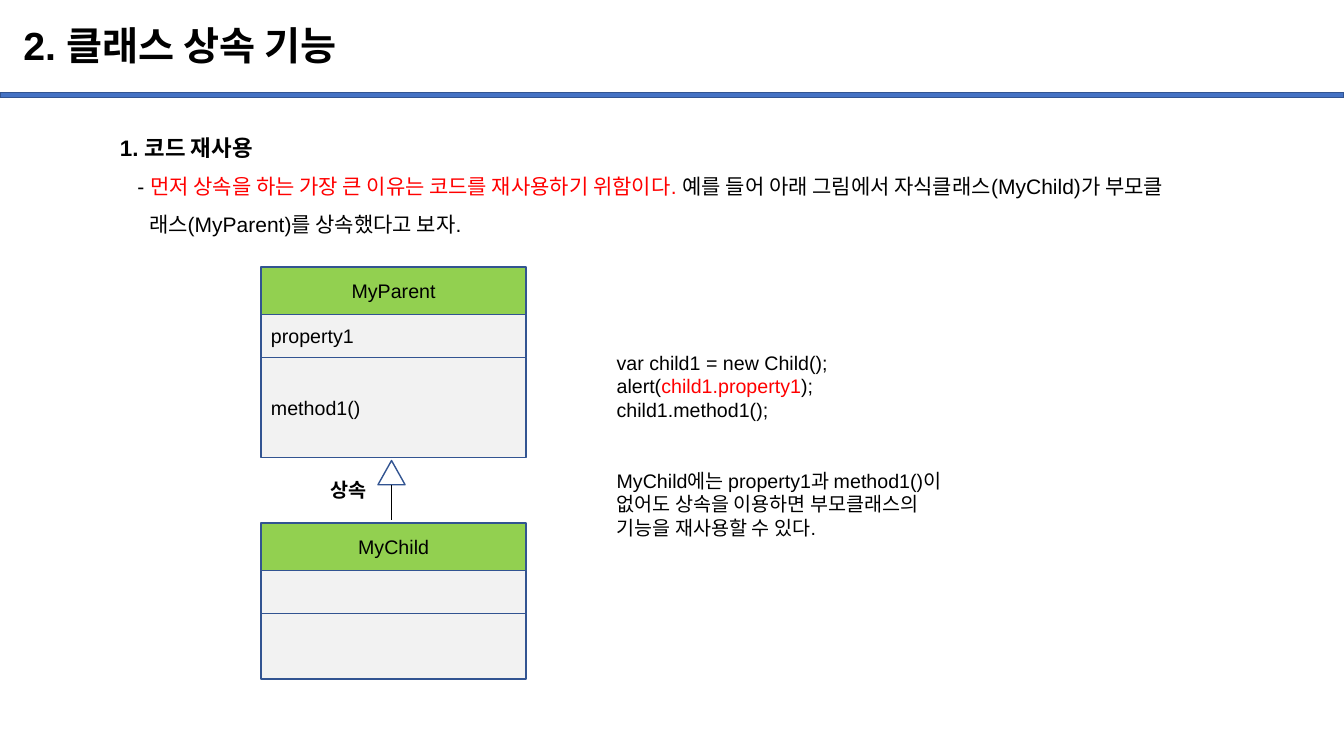
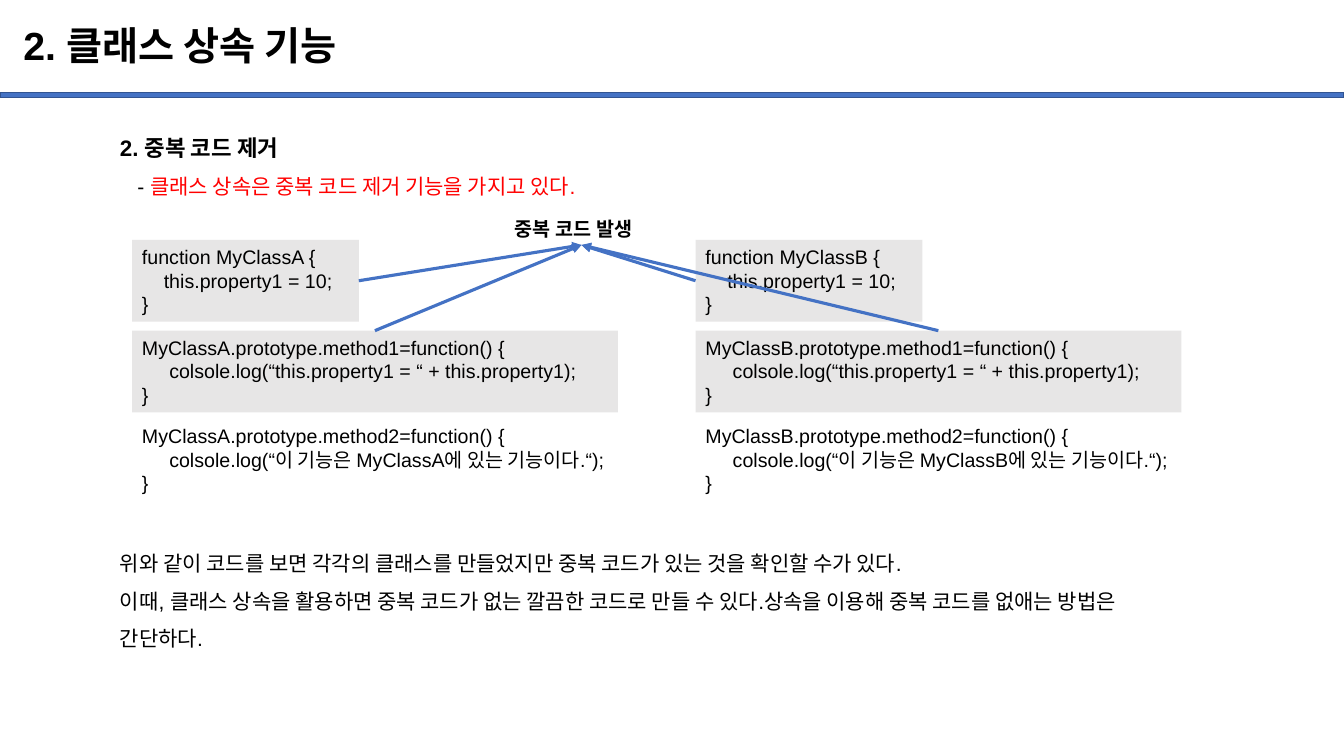
from pptx import Presentation
from pptx.dml.color import RGBColor
from pptx.enum.shapes import MSO_CONNECTOR, MSO_SHAPE
from pptx.enum.text import MSO_ANCHOR, MSO_AUTO_SIZE, PP_ALIGN
from pptx.oxml.ns import qn
from pptx.oxml.xmlchemy import OxmlElement
from pptx.util import Pt

BLACK = RGBColor(0x00, 0x00, 0x00)
RED = RGBColor(0xFF, 0x00, 0x00)
BLUE = RGBColor(0x44, 0x72, 0xC4)
NAVY = RGBColor(0x32, 0x54, 0x91)
GREEN = RGBColor(0x92, 0xD0, 0x50)
PALE = RGBColor(0xF2, 0xF2, 0xF2)
GRAY = RGBColor(0xE7, 0xE6, 0xE6)
FONT = "Arial"


def write(frame, text, size=14, bold=False, color=BLACK, align=PP_ALIGN.LEFT,
          indent=0, first=0, spacing=1.0, before=0):
    """Add one paragraph; text is a string or a list of (text, color) spans."""
    para = frame.paragraphs[0]
    if para.runs:
        para = frame.add_paragraph()
    para.alignment = align
    para.line_spacing = spacing
    para.space_before = Pt(before)
    properties = para._p.get_or_add_pPr()
    properties.set("marL", str(Pt(indent)))
    properties.set("indent", str(Pt(first)))
    properties.append(OxmlElement("a:buNone"))
    spans = [(text, color)] if isinstance(text, str) else text
    for words, shade in spans:
        span = para.add_run()
        span.text = words
        span.font.name = FONT
        span.font.size = Pt(size)
        span.font.bold = bold
        span.font.color.rgb = shade


class Lecture:
    def __init__(self):
        self.deck = Presentation()
        self.deck.slide_width, self.deck.slide_height = Pt(960), Pt(540)
        self.layout = self.deck.slide_layouts[1]
        self.page = None

    def place(self, shape, left, top, width, height):
        shape.left, shape.top = Pt(left), Pt(top)
        shape.width, shape.height = Pt(width), Pt(height)

    def add_page(self, title):
        self.page = self.deck.slides.add_slide(self.layout)
        if len(self.deck.slides) == 1:
            self.share_frame()
        frame = self.page.shapes.title.text_frame
        frame.vertical_anchor = MSO_ANCHOR.MIDDLE
        frame.auto_size = MSO_AUTO_SIZE.NONE
        write(frame, title, size=28, bold=True, spacing=0.9)

    def share_frame(self):
        """Put the title position and the blue band on the layout."""
        self.place(self.layout.placeholders[0], 9.4, 7.2, 828, 53.3)
        band = self.shape(MSO_SHAPE.RECTANGLE, 0, 66.2, 960, 3.6, fill=BLUE)
        self.layout.shapes.element.append(band.element)

    def body(self, height, heading):
        holder = self.page.placeholders[1]
        self.place(holder, 78.5, 82.8, 843.8, height)
        frame = holder.text_frame
        frame.vertical_anchor = MSO_ANCHOR.TOP
        frame.auto_size = MSO_AUTO_SIZE.NONE
        write(frame, heading, size=16, bold=True, spacing=1.5)
        return frame

    def shape(self, kind, left, top, width, height, fill=None):
        shape = self.page.shapes.add_shape(
            kind, Pt(left), Pt(top), Pt(width), Pt(height))
        shape.shadow.inherit = False
        if fill is None:
            shape.fill.background()
        else:
            shape.fill.solid()
            shape.fill.fore_color.rgb = fill
        shape.line.color.rgb = NAVY
        shape.line.width = Pt(1)
        return shape

    def class_box(self, top, rows):
        """Stack the name, property and method cells of a class."""
        for index, (text, height) in enumerate(rows):
            cell = self.shape(MSO_SHAPE.RECTANGLE, 186.5, top, 189.4, height,
                              fill=PALE if index else GREEN)
            cell.text_frame.vertical_anchor = MSO_ANCHOR.MIDDLE
            if text:
                write(cell.text_frame, text,
                      align=PP_ALIGN.LEFT if index else PP_ALIGN.CENTER)
            top += height

    def text_box(self, left, top, width, height, lines, fill=None,
                 bold=False, inner=0):
        """Add unwrapped lines; inner indents those between first and last."""
        box = self.page.shapes.add_textbox(
            Pt(left), Pt(top), Pt(width), Pt(height))
        if fill is not None:
            box.fill.solid()
            box.fill.fore_color.rgb = fill
        box.text_frame.word_wrap = False
        box.text_frame.auto_size = MSO_AUTO_SIZE.SHAPE_TO_FIT_TEXT
        for index, line in enumerate(lines):
            inside = 0 < index < len(lines) - 1
            write(box.text_frame, line, bold=bold,
                  indent=inner if inside else 0)
        return box

    def line(self, start, end, color, width, arrow=False):
        connector = self.page.shapes.add_connector(
            MSO_CONNECTOR.STRAIGHT, *(Pt(value) for value in start + end))
        connector.line.color.rgb = color
        connector.line.width = Pt(width)
        properties = connector.element.spPr
        if arrow:
            head = OxmlElement("a:tailEnd")
            head.set("type", "triangle")
            properties.find(qn("a:ln")).append(head)
        properties.append(OxmlElement("a:effectLst"))
        return connector


lecture = Lecture()
TITLE = "2. 클래스 상속 기능"

# Code reuse
lecture.add_page(TITLE)
frame = lecture.body(87.1, "1. 코드 재사용")
write(frame, [("- ", BLACK),
              ("먼저 상속을 하는 가장 큰 이유는 코드를 재사용하기 위함이다. ", RED),
              ("예를 들어 아래 그림에서 자식클래스(MyChild)가 부모클", BLACK)],
      size=15, spacing=1.5, indent=20.8, first=-8.3)
write(frame, "래스(MyParent)를 상속했다고 보자.", size=15, spacing=1.5, indent=20.8)

# Class diagram
lecture.class_box(190.8, [("MyParent", 34), ("property1", 30.6), ("method1()", 71.3)])
lecture.class_box(373.7, [("MyChild", 34), ("", 30.6), ("", 46.8)])
lecture.shape(MSO_SHAPE.ISOSCELES_TRIANGLE, 270, 329, 19.4, 17.3)
lecture.line((279.7, 346.3), (279.7, 371.5), BLACK, 0.75)
lecture.text_box(229, 337.7, 42.5, 24.5, ["상속"], bold=True)

# Usage and explanation
lecture.text_box(433.4, 247, 172.8, 58.3, [
    "var child1 = new Child();",
    [("alert(", BLACK), ("child1.property1", RED), (");", BLACK)],
    "child1.method1();"])
lecture.text_box(433.4, 331.2, 267.8, 58.3, [
    "MyChild에는 property1과 method1()이",
    "없어도 상속을 이용하면 부모클래스의",
    "기능을 재사용할 수 있다."])

# Duplicate code
lecture.add_page(TITLE)
frame = lecture.body(387.4, "2. 중복 코드 제거")
write(frame, [("- ", BLACK), ("클래스 상속은 중복 코드 제거 기능을 가지고 있다.", RED)],
      size=15, spacing=1.5, indent=20.8, first=-8.3)
for text, before in [
        ("위와 같이 코드를 보면 각각의 클래스를 만들었지만 중복 코드가 있는 것을 확인할 수가 있다.", 242),
        ("이때, 클래스 상속을 활용하면 중복 코드가 없는 깔끔한 코드로 만들 수 있다."
         "상속을 이용해 중복 코드를 없애는 방법은", 0),
        ("간단하다.", 0)]:
    write(frame, text, size=15, spacing=1.5, before=before)

# Two classes side by side, with arrows from their repeated parts
TOP, LEFT, RIGHT = 0, 1, 3
lecture.text_box(360.7, 151.2, 109.4, 24.5, ["중복 코드 발생"], bold=True)
arrow_starts = []
for name, left, side, last_width in [("MyClassA", 94.3, RIGHT, 375.8),
                                     ("MyClassB", 496.8, LEFT, 366.5)]:
    constructor = lecture.text_box(
        left, 171.4, 162, 58.3,
        [f"function {name} {{", "this.property1 = 10;", "}"],
        fill=GRAY, inner=15.6)
    method = lecture.text_box(
        left, 236.2, 347, 58.3,
        [f"{name}.prototype.method1=function() {{",
         "colsole.log(“this.property1 = “ + this.property1);", "}"],
        fill=GRAY, inner=19.5)
    lecture.text_box(
        left, 299.5, last_width, 58.3,
        [f"{name}.prototype.method2=function() {{",
         f"colsole.log(“이 기능은 {name}에 있는 기능이다.“);", "}"],
        inner=19.5)
    arrow_starts += [(constructor, side), (method, TOP)]
for box, site in arrow_starts:
    arrow = lecture.line((0, 0), (415.4, 175), BLUE, 2.25, arrow=True)
    arrow.begin_connect(box, site)

lecture.deck.save("out.pptx")
